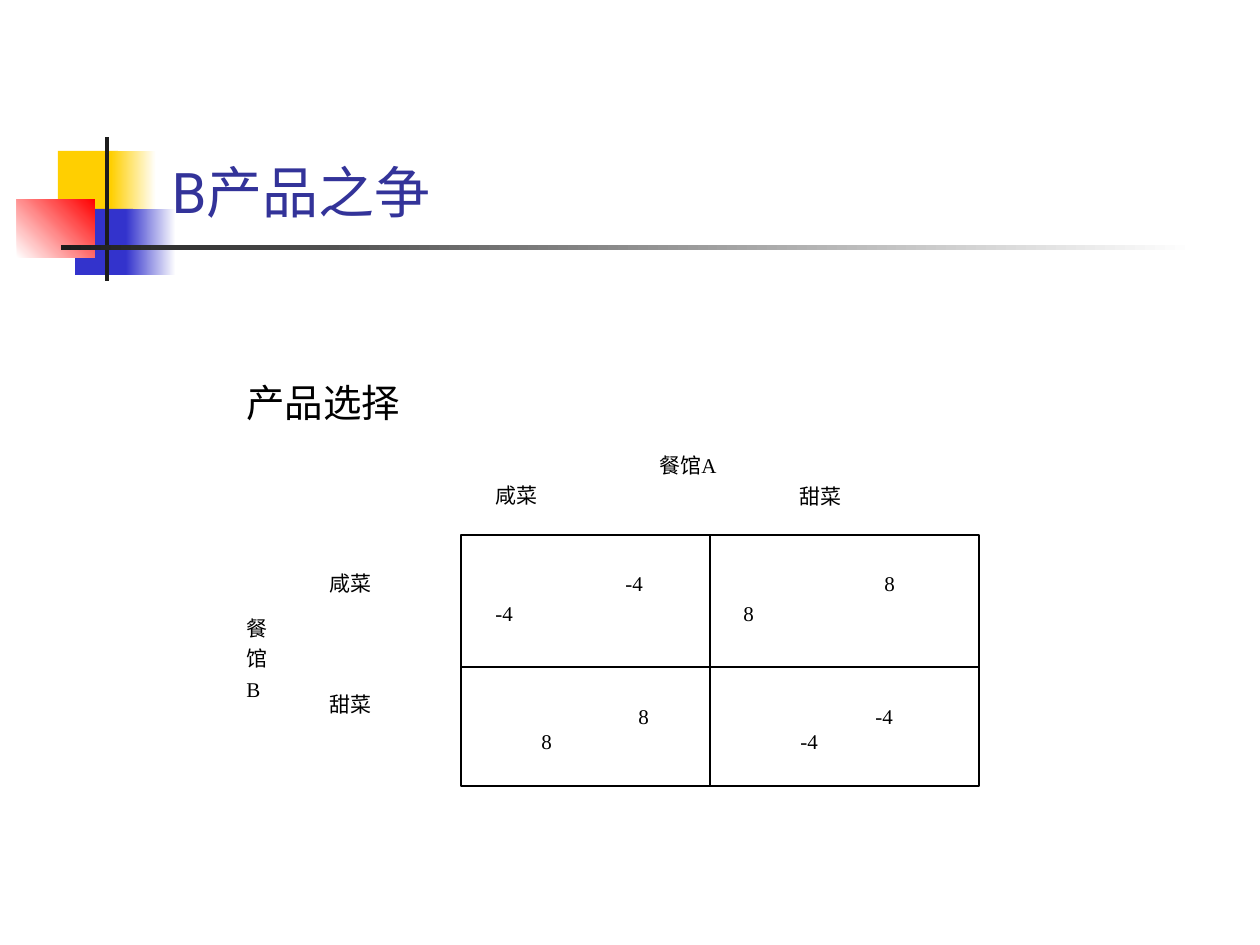
from dataclasses import dataclass
from typing import NamedTuple

from lxml.etree import SubElement
from pptx import Presentation
from pptx.dml.color import RGBColor
from pptx.enum.shapes import MSO_CONNECTOR, MSO_SHAPE
from pptx.enum.text import MSO_ANCHOR, MSO_AUTO_SIZE, PP_ALIGN
from pptx.oxml.ns import qn
from pptx.util import Emu, Pt


@dataclass(frozen=True)
class Theme:
    yellow: str = "FFCF01"
    blue: str = "3333CC"
    red: str = "FF0000"
    dark: str = "1C1C1C"
    white: str = "FFFFFF"
    black: str = "000000"
    title: str = "333399"
    title_font: str = "Roboto"
    body_font: str = "Times New Roman"
    title_size: int = 32
    heading_size: int = 22
    label_size: int = 12
    line_width: float = 0.75


class Box(NamedTuple):
    left: int
    top: int
    width: int
    height: int


class Line(NamedTuple):
    text: str
    indent: int = 0
    space_before: float = 0


class Ornament(NamedTuple):
    box: Box
    colors: tuple[str, ...]
    angle: int = 0


class Label(NamedTuple):
    box: Box
    lines: tuple[Line, ...]
    size: int


THEME = Theme()
GAP = 3  # points between label lines
MATRIX = Box(461, 535, 518, 251)
ROW_SPLIT, COLUMN_SPLIT = 667, 710
CELL_LEFTS, CELL_TOPS = (483, 731), (564, 697)
CELL_SIZE = (207, 74)

ORNAMENTS = [
    Ornament(Box(58, 151, 60, 66), (THEME.yellow,)),
    Ornament(Box(111, 151, 45, 66), (THEME.yellow, THEME.white)),
    Ornament(Box(75, 209, 58, 66), (THEME.blue,)),
    Ornament(Box(126, 209, 50, 66), (THEME.blue, THEME.white)),
    Ornament(Box(17, 199, 78, 59), (THEME.white, THEME.red), 45),
    Ornament(Box(105, 137, 4, 144), (THEME.dark,)),
    Ornament(Box(61, 245, 1134, 5), (THEME.dark, THEME.white)),
]

LABELS = [
    Label(Box(483, 446, 496, 74),
          (Line("餐馆A", indent=164), Line("咸菜", space_before=GAP)),
          THEME.label_size),
    Label(Box(787, 477, 192, 43), (Line("甜菜"),), THEME.label_size),
    Label(Box(317, 564, 103, 222),
          (Line("咸菜"), Line("甜菜", space_before=55)), THEME.label_size),
    Label(Box(234, 609, 62, 118),
          (Line("餐"), Line("馆", space_before=GAP), Line("B", space_before=GAP)),
          THEME.label_size),
    Label(Box(234, 373, 290, 73), (Line("产品选择"),), THEME.heading_size),
]

# Rows, then columns: the payoff of A stands above the payoff of B.
PAYOFFS = [
    [(Line("-4", 130), Line("-4", 0, GAP)), (Line("8", 141), Line("8", 0, GAP))],
    [(Line("8", 143), Line("8", 46)), (Line("-4", 132), Line("-4", 57))],
]


def px(length: int) -> Emu:
    return Emu(round(length * 914400 / 126))


def place(shape, box: Box) -> None:
    shape.left, shape.top, shape.width, shape.height = map(px, box)


def write(paragraph, text: str, *, size: int, font: str = THEME.body_font,
          color: str = THEME.black, align=PP_ALIGN.JUSTIFY) -> None:
    paragraph.alignment = align
    run = paragraph.add_run()
    run.text = text
    run.font.size = Pt(size)
    run.font.name = font
    run.font.color.rgb = RGBColor.from_string(color)


def set_indent(paragraph, indent: int) -> None:
    properties = paragraph._p.get_or_add_pPr()
    properties.set("marL", str(px(indent)))
    properties.set("indent", "0")


def add_rectangle(slide, box: Box, colors: tuple[str, ...], angle: int = 0):
    """Draw a borderless rectangle; two colours make a gradient."""
    shape = slide.shapes.add_shape(MSO_SHAPE.RECTANGLE, *map(px, box))
    shape.shadow.inherit = False
    shape.line.fill.background()
    if len(colors) == 1:
        shape.fill.solid()
        shape.fill.fore_color.rgb = RGBColor.from_string(colors[0])
    else:
        shape.fill.gradient()
        shape.fill.gradient_angle = angle
        for stop, color in zip(shape.fill.gradient_stops, colors):
            stop.color.rgb = RGBColor.from_string(color)
    return shape


def style_line(line) -> None:
    line.color.rgb = RGBColor.from_string(THEME.black)
    line.width = Pt(THEME.line_width)


def add_divider(slide, x1: int, y1: int, x2: int, y2: int) -> None:
    divider = slide.shapes.add_connector(
        MSO_CONNECTOR.STRAIGHT, px(x1), px(y1), px(x2), px(y2))
    style_line(divider.line)
    SubElement(divider._element.spPr, qn("a:effectLst"))


def add_label(slide, label: Label) -> None:
    frame = add_rectangle(slide, label.box, (THEME.white,)).text_frame
    frame.word_wrap = True
    frame.vertical_anchor = MSO_ANCHOR.TOP
    for index, line in enumerate(label.lines):
        paragraph = frame.add_paragraph() if index else frame.paragraphs[0]
        set_indent(paragraph, line.indent)
        if line.space_before:
            paragraph.space_before = Pt(line.space_before)
        write(paragraph, line.text, size=label.size)


def add_title(slide, text: str) -> None:
    """Fill the title and bring it in front of the ornaments."""
    title = slide.shapes.title
    place(title, Box(159, 125, 1074, 106))
    frame = title.text_frame
    frame.word_wrap = True
    frame.auto_size = MSO_AUTO_SIZE.NONE
    frame.vertical_anchor = MSO_ANCHOR.BOTTOM
    write(frame.paragraphs[0], text, size=THEME.title_size,
          font=THEME.title_font, color=THEME.title, align=PP_ALIGN.LEFT)
    slide.shapes._spTree.append(title._element)


def add_matrix(slide) -> None:
    style_line(add_rectangle(slide, MATRIX, (THEME.white,)).line)
    right, bottom = MATRIX.left + MATRIX.width, MATRIX.top + MATRIX.height
    add_divider(slide, MATRIX.left, ROW_SPLIT, right, ROW_SPLIT)
    add_divider(slide, COLUMN_SPLIT, MATRIX.top, COLUMN_SPLIT, bottom)
    for top, row in zip(CELL_TOPS, PAYOFFS):
        for left, lines in zip(CELL_LEFTS, row):
            add_label(slide, Label(Box(left, top, *CELL_SIZE), lines, THEME.label_size))


def main() -> None:
    presentation = Presentation()
    presentation.slide_width, presentation.slide_height = px(1260), px(945)
    slide = presentation.slides.add_slide(presentation.slide_layouts[5])
    for ornament in ORNAMENTS:
        add_rectangle(slide, *ornament)
    add_title(slide, "B产品之争")
    add_matrix(slide)
    for label in LABELS:
        add_label(slide, label)
    presentation.save("out.pptx")


if __name__ == "__main__":
    main()
